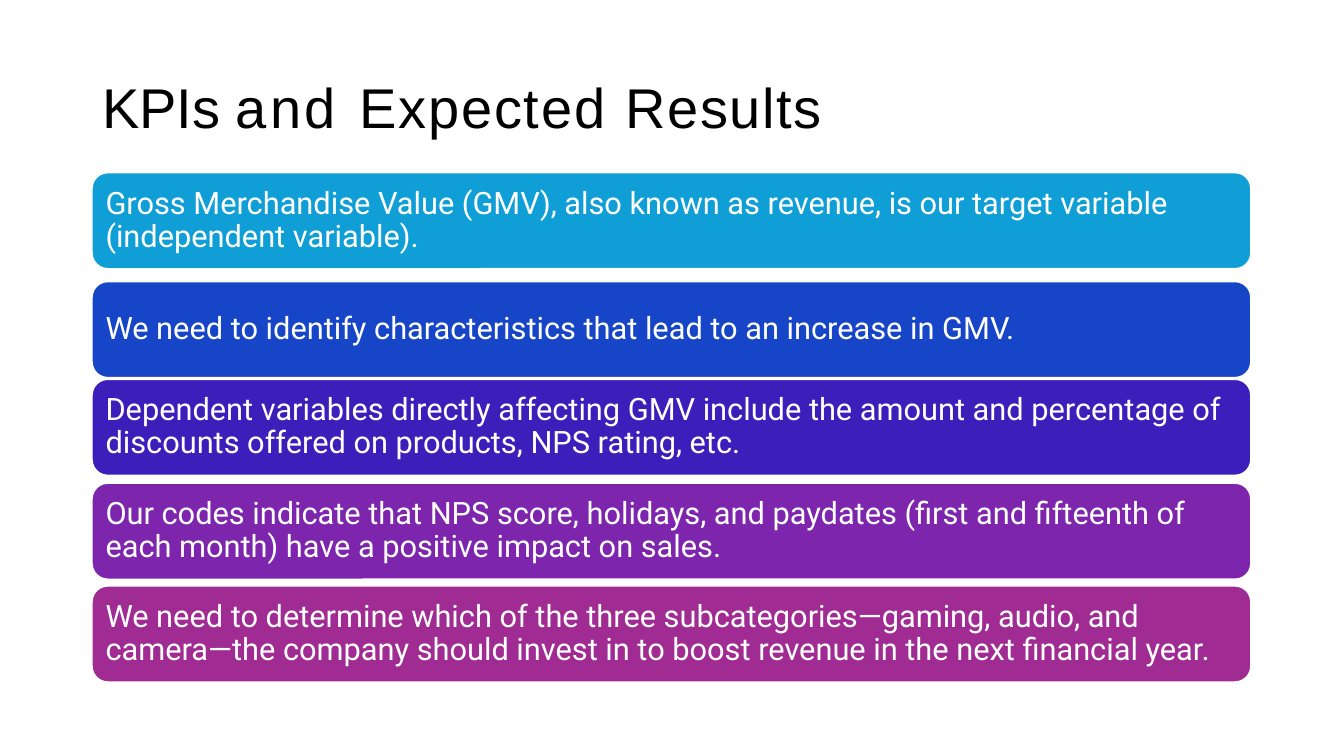
from pptx import Presentation
from pptx import util as u
from pptx.dml.color import RGBColor
from pptx.enum import shapes, text

COLORS = {
    "ink": "000000", "white": "FFFFFF", "sky": "0F9ED5", "blue": "1745C7",
    "indigo": "3C1EBA", "violet": "7D25AD", "plum": "A02B93",
}
# Title pieces with their letter spacing in points
TITLE = [("KPIs ", -0.2), ("and ", 2.6), ("Expected ", 1.4), ("Results", 1.2)]
# Top edge in inches, fill, wording
BARS = [
    (1.71, "sky", "Gross Merchandise Value (GMV), also known as revenue, is our "
                  "target variable (independent variable)."),
    (2.79, "blue", "We need to identify characteristics that lead to an increase in GMV."),
    (3.76, "indigo", "Dependent variables directly affecting GMV include the amount and "
                     "percentage of discounts offered on products, NPS rating, etc."),
    (4.79, "violet", "Our codes indicate that NPS score, holidays, and paydates (first and "
                     "fifteenth of each month) have a positive impact on sales."),
    (5.81, "plum", "We need to determine which of the three subcategories—gaming, audio, "
                   "and camera—the company should invest in to boost revenue in the next "
                   "financial year."),
]
LEFT, WIDTH, BAR_HEIGHT, INSET = 0.91, 11.5, 0.96, 0.09


def color(name):
    return RGBColor.from_string(COLORS[name])


def write(para, words, font, size, ink, spacing=None):
    """Append one run; spacing is the letter spacing in points."""
    para.alignment = text.PP_ALIGN.LEFT
    para.line_spacing = 0.9
    span = para.add_run()
    span.text = words
    span.font.name = font
    span.font.size = u.Pt(size)
    span.font.color.rgb = color(ink)
    if spacing is not None:
        span._r.get_or_add_rPr().set("spc", str(round(spacing * 100)))


def add_bar(page, top, fill, words):
    bar = page.shapes.add_shape(
        shapes.MSO_SHAPE.ROUNDED_RECTANGLE,
        *map(u.Inches, (LEFT, top, WIDTH, BAR_HEIGHT)))
    bar.shadow.inherit = False
    bar.fill.solid()
    bar.fill.fore_color.rgb = color(fill)
    bar.line.color.rgb = color("white")
    bar.line.width = u.Pt(1.5)
    frame = bar.text_frame
    frame.word_wrap = True
    frame.vertical_anchor = text.MSO_ANCHOR.MIDDLE
    frame.margin_left = frame.margin_right = u.Inches(INSET)
    frame.margin_top = frame.margin_bottom = u.Inches(INSET)
    write(frame.paragraphs[0], words, "Roboto", 22, "white")


def main():
    deck = Presentation()
    deck.slide_width, deck.slide_height = u.Inches(13.33), u.Inches(7.5)
    page = deck.slides.add_slide(deck.slide_layouts[5])

    title = page.shapes.title
    title.left, title.top, title.width, title.height = map(
        u.Inches, (0.92, 0.36, WIDTH, 1.47))
    title.text_frame.vertical_anchor = text.MSO_ANCHOR.MIDDLE
    for words, spacing in TITLE:
        write(title.text_frame.paragraphs[0], words, "Arial", 40, "ink", spacing)

    for top, fill, words in BARS:
        add_bar(page, top, fill, words)
    deck.save("out.pptx")


if __name__ == "__main__":
    main()
